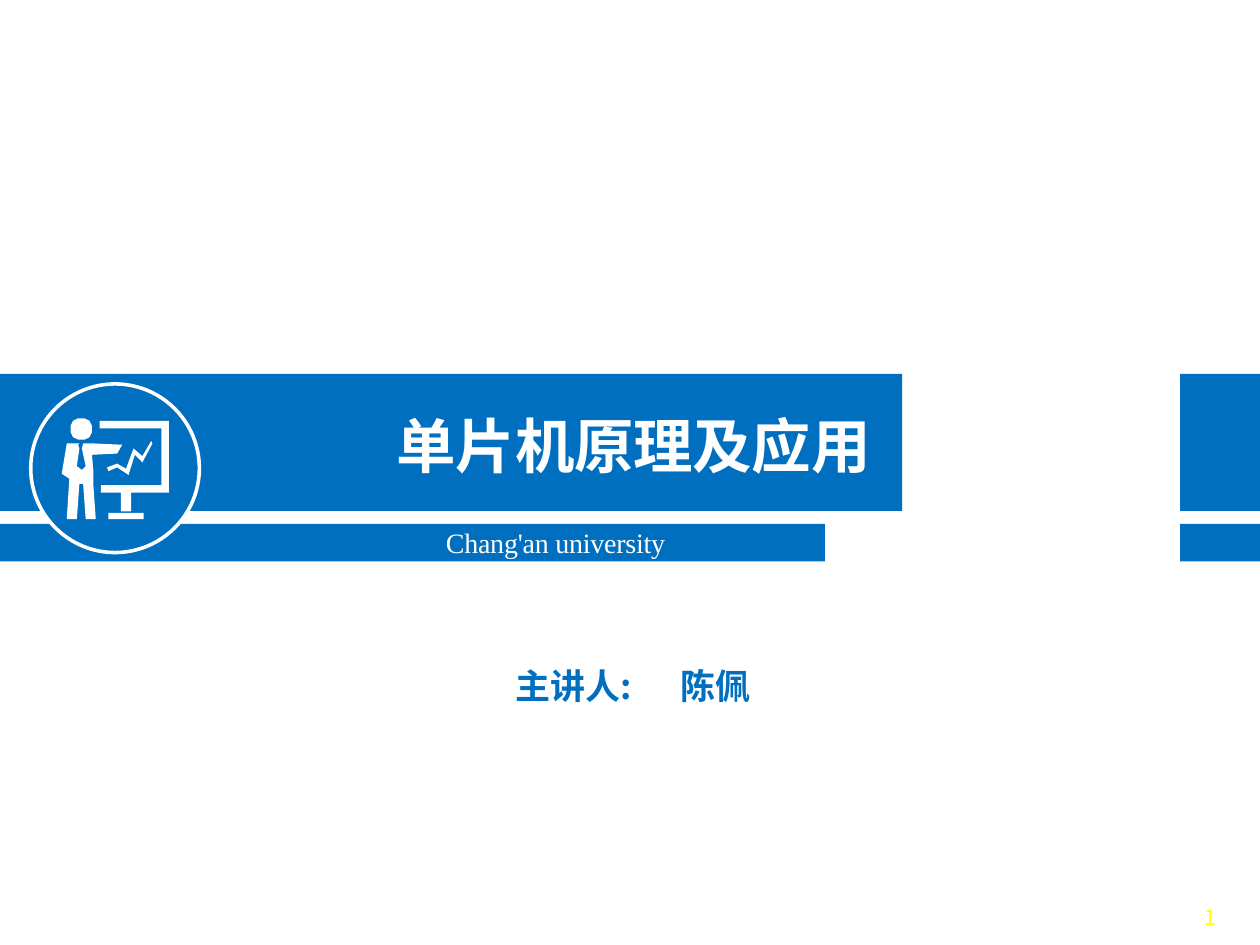
"""Build the title page of a microcontroller course."""
from dataclasses import dataclass
from math import cos, pi, sin
from typing import Optional

from lxml.etree import SubElement
from pptx import Presentation
from pptx.dml.color import RGBColor
from pptx.enum.shapes import MSO_SHAPE
from pptx.oxml.ns import qn
from pptx.slide import Slide
from pptx.util import Cm, Pt

BLUE = RGBColor(0x00, 0x6F, 0xC0)
WHITE = RGBColor(0xFF, 0xFF, 0xFF)
YELLOW = RGBColor(0xFF, 0xFF, 0x00)
CHINESE_FONT = "Noto Sans CJK SC"
LATIN_FONT = "Times New Roman"
PAGE_WIDTH, PAGE_HEIGHT = 25.4, 19.05
ICON_UNIT = Cm(0.0254)


@dataclass(frozen=True)
class Band:
    left: float
    top: float
    width: float
    height: float


@dataclass(frozen=True)
class Label:
    spans: tuple[str, ...]
    left: float
    top: float
    width: float
    height: float
    size: int
    color: RGBColor
    font: str = CHINESE_FONT
    bold: bool = False
    spacing: int = 0
    line_height: Optional[float] = None
    tab: Optional[float] = None


TITLE_ROW, SUBTITLE_ROW = (7.54, 2.76), (10.56, 0.76)
RIGHT_EDGE = 23.79
BANDS = [
    Band(left, top, width, height)
    for (top, height), title_width in ((TITLE_ROW, 18.19), (SUBTITLE_ROW, 16.63))
    for left, width in ((0, title_width), (RIGHT_EDGE, PAGE_WIDTH - RIGHT_EDGE))
]

LABELS = [
    Label(("主讲人:", "\t陈佩"), 10.39, 13.36, 7.92, 0.94, 20, BLUE,
          bold=True, line_height=25.3, tab=3.33),
    Label(("单片机原理及应用",), 8.0, 8.24, 10.06, 1.47, 34, WHITE, bold=True, spacing=-10),
    Label(("Chang'an university",), 8.99, 10.6, 9.2, 0.71, 16, WHITE, LATIN_FONT, spacing=-10),
    Label(("1",), 24.28, 18.23, 1.12, 0.8, 12, YELLOW, spacing=-10),
]

HEAD = [(64.5 + 8.5 * cos(step * pi / 12), 340.5 + 8.5 * sin(step * pi / 12))
        for step in range(24)]
JACKET_AND_LEG = [(63, 352), (53, 352), (49, 376), (55, 380), (53, 412), (61, 412), (63, 384),
                  (74, 384), (74, 373), (65, 373), (61, 370), (63, 356), (62, 353)]
OTHER_LEG = [(74, 384), (66, 384), (68, 412), (76, 412)]
POINTING_ARM = [(75, 352), (66, 352), (65, 356), (68, 370), (65, 373), (74, 373), (73, 361),
                (93, 360), (97, 353)]
BOARD_FRAME = [(134, 334), (79, 334), (79, 340), (128, 340), (128, 385), (80, 385),
               (80, 391), (134, 391)]
BOARD_POST = [(104, 391), (96, 391), (96, 406), (104, 406)]
BOARD_FOOT = [(114, 407), (86, 407), (86, 412), (114, 412)]
TREND_LINE = [(85, 371), (93, 368), (100, 372), (106, 356), (113, 362), (120, 350), (121, 352),
              (113, 367), (107, 361), (102, 377), (93, 371), (86, 374)]
PRESENTER = [HEAD, JACKET_AND_LEG, OTHER_LEG, POINTING_ARM,
             BOARD_FRAME, BOARD_POST, BOARD_FOOT, TREND_LINE]


def draw_band(page: Slide, band: Band) -> None:
    """Draw a blue bar."""
    bar = page.shapes.add_shape(MSO_SHAPE.RECTANGLE, Cm(band.left), Cm(band.top),
                                Cm(band.width), Cm(band.height))
    bar.shadow.inherit = False
    bar.fill.solid()
    bar.fill.fore_color.rgb = BLUE
    bar.line.fill.background()


def draw_badge(page: Slide) -> None:
    """Draw the ringed disc with the presenter icon."""
    disc = page.shapes.add_shape(MSO_SHAPE.OVAL, Cm(0.62), Cm(7.74), Cm(3.4), Cm(3.4))
    disc.fill.solid()
    disc.fill.fore_color.rgb = BLUE
    disc.line.color.rgb = WHITE
    disc.line.width = Pt(2.04)

    builder = page.shapes.build_freeform(*PRESENTER[0][0], scale=ICON_UNIT)
    for outline in PRESENTER:
        builder.move_to(*outline[0])
        builder.add_line_segments(outline[1:], close=True)
    icon = builder.convert_to_shape()
    icon.fill.solid()
    icon.fill.fore_color.rgb = WHITE
    icon.line.fill.background()
    for shape in (disc, icon):
        shape.shadow.inherit = False


def draw_label(page: Slide, label: Label) -> None:
    """Draw a one-paragraph text box."""
    box = page.shapes.add_textbox(Cm(label.left), Cm(label.top), Cm(label.width), Cm(label.height))
    frame = box.text_frame
    frame.word_wrap = True
    frame.margin_left = frame.margin_right = frame.margin_top = frame.margin_bottom = 0
    para = frame.paragraphs[0]
    if label.line_height:
        para.line_spacing = Pt(label.line_height)
    if label.tab:
        stops = SubElement(para._p.get_or_add_pPr(), qn("a:tabLst"))
        SubElement(stops, qn("a:tab"), pos=str(Cm(label.tab)), algn="l")
    for text in label.spans:
        span = para.add_run()
        span.text = text
        span.font.size = Pt(label.size)
        span.font.bold = label.bold
        span.font.color.rgb = label.color
        span.font.name = label.font
        properties = span._r.get_or_add_rPr()
        properties.set("spc", str(label.spacing))
        SubElement(properties, qn("a:ea"), typeface=label.font)


def main() -> None:
    """Assemble and save the deck."""
    deck = Presentation()
    deck.slide_width, deck.slide_height = Cm(PAGE_WIDTH), Cm(PAGE_HEIGHT)
    page = deck.slides.add_slide(deck.slide_layouts[6])
    for band in BANDS:
        draw_band(page, band)
    draw_badge(page)
    for label in LABELS:
        draw_label(page, label)
    deck.save("out.pptx")


if __name__ == "__main__":
    main()
